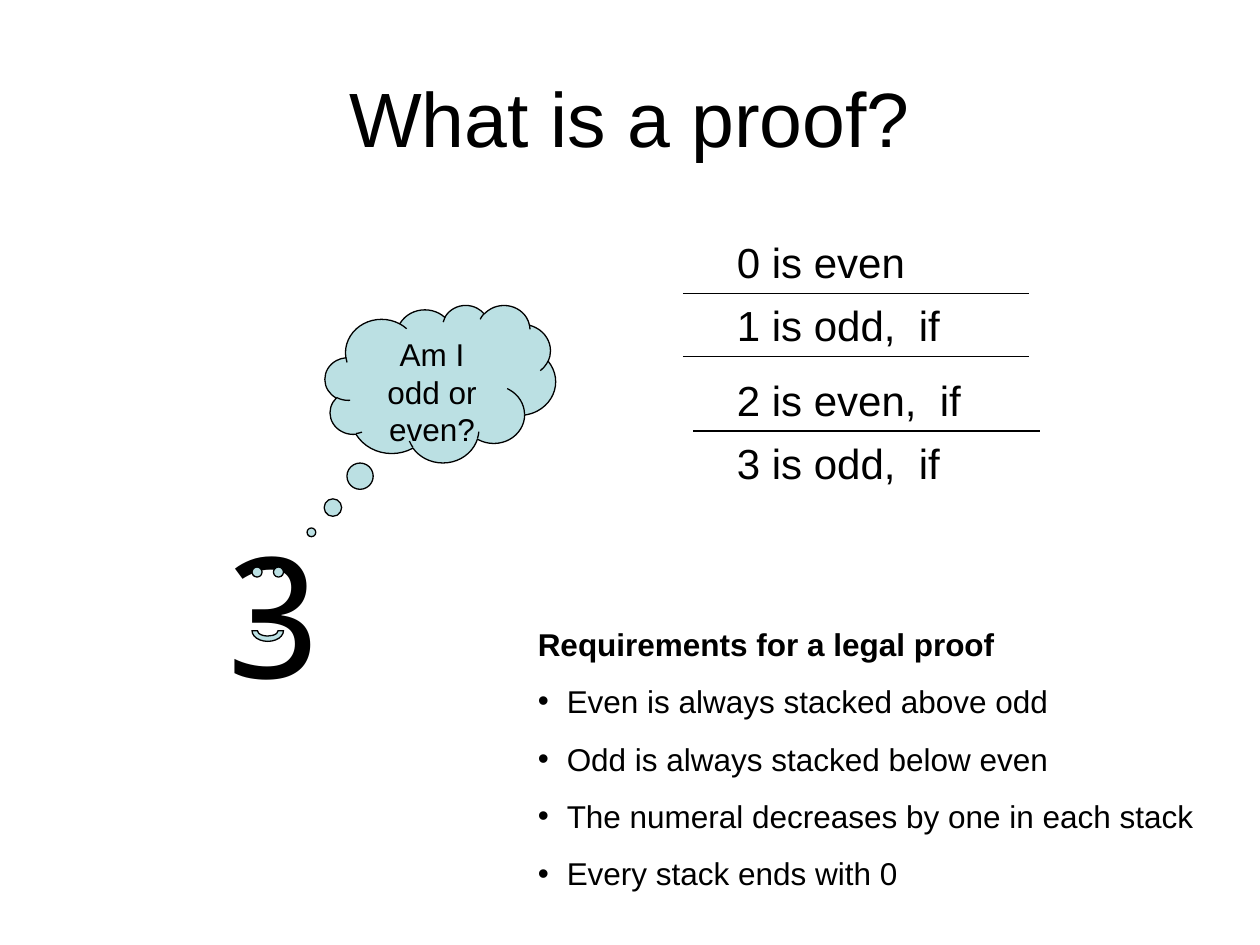
from dataclasses import dataclass
from typing import Any

from lxml.etree import SubElement
from pptx import Presentation
from pptx.dml.color import RGBColor
from pptx.enum.shapes import MSO_CONNECTOR as Link, MSO_SHAPE as Preset
from pptx.enum.text import MSO_ANCHOR as Anchor, MSO_AUTO_SIZE as Fit, PP_ALIGN as Align
from pptx.oxml.ns import qn
from pptx.util import Inches, Pt

BLACK = RGBColor(0x00, 0x00, 0x00)
PALE_TEAL = RGBColor(0xBB, 0xE0, 0xE3)
OUTLINE = Pt(0.75)
BULLET_INDENT = Inches(0.23)


@dataclass
class Figure:
    preset: Preset
    left: float
    top: float
    width: float
    height: float
    adjustments: tuple[float, ...] = ()
    rotation: float = 0


@dataclass
class Step:
    claim: str
    top: float


@dataclass
class Rule:
    left: float
    top: float


CLOUD = Figure(Preset.CLOUD_CALLOUT, 2.58, 2.42, 1.83, 1.25, (-0.559, 0.944))
FACE = [
    Figure(Preset.OVAL, 2, 4.5, 0.08, 0.08),
    Figure(Preset.OVAL, 2.17, 4.5, 0.08, 0.08),
    Figure(Preset.BLOCK_ARC, 2, 4.92, 0.25, 0.17, (108, 0, 0.25), 180),
]
STEPS = [
    Step("0 is even", 1.83),
    Step("1 is odd,  if", 2.33),
    Step("2 is even,  if", 2.92),
    Step("3 is odd,  if", 3.42),
]
RULES = [Rule(5.42, 2.33), Rule(5.42, 2.83), Rule(5.5, 3.42)]
REQUIREMENTS = [
    "Even is always stacked above odd",
    "Odd is always stacked below even",
    "The numeral decreases by one in each stack",
    "Every stack ends with 0",
]


def write(paragraph: Any, text: str, *, size: float, font: str = "Arial", bold: bool = False,
          align: Align = Align.LEFT, before: float = 0, bullet: bool = False) -> None:
    if bullet:
        properties = paragraph._p.get_or_add_pPr()
        properties.set("marL", str(BULLET_INDENT))
        properties.set("indent", str(-BULLET_INDENT))
        SubElement(properties, qn("a:buFont")).set("typeface", "Arial")
        SubElement(properties, qn("a:buChar")).set("char", "•")
    paragraph.alignment = align
    paragraph.space_before = Pt(before)
    run = paragraph.add_run()
    run.text = text
    run.font.name = font
    run.font.size = Pt(size)
    run.font.bold = bold
    run.font.color.rgb = BLACK


def add_frame(shapes: Any, left: float, top: float, width: float, height: float,
              anchor: Anchor = Anchor.TOP, fit: Fit = Fit.SHAPE_TO_FIT_TEXT) -> Any:
    frame = shapes.add_textbox(Inches(left), Inches(top), Inches(width), Inches(height)).text_frame
    frame.word_wrap = True
    frame.auto_size = fit
    frame.vertical_anchor = anchor
    return frame


def draw_figure(shapes: Any, figure: Figure) -> Any:
    shape = shapes.add_shape(figure.preset, Inches(figure.left), Inches(figure.top),
                             Inches(figure.width), Inches(figure.height))
    for index, value in enumerate(figure.adjustments):
        shape.adjustments[index] = value
    shape.rotation = figure.rotation
    shape.shadow.inherit = False
    shape.fill.solid()
    shape.fill.fore_color.rgb = PALE_TEAL
    shape.line.color.rgb = BLACK
    shape.line.width = OUTLINE
    return shape


def draw_rule(shapes: Any, rule: Rule) -> None:
    line = shapes.add_connector(Link.STRAIGHT, Inches(rule.left), Inches(rule.top),
                                Inches(rule.left + 2.75), Inches(rule.top))
    line.line.color.rgb = BLACK
    line.line.width = OUTLINE
    SubElement(line._element.spPr, qn("a:effectLst"))


def main() -> None:
    """Build the slide that asks what a proof is."""
    deck = Presentation()
    deck.slide_width, deck.slide_height = Inches(10), Inches(7.5)
    shapes = deck.slides.add_slide(deck.slide_layouts[6]).shapes

    title = add_frame(shapes, 0.5, 0.3, 9, 1.25, Anchor.MIDDLE, Fit.NONE)
    write(title.paragraphs[0], "What is a proof?", size=44, align=Align.CENTER)

    numeral = add_frame(shapes, 1.67, 4, 1.08, 1.7)
    write(numeral.paragraphs[0], "3", size=96, font="Noto Sans Mono")

    thought = draw_figure(shapes, CLOUD).text_frame
    thought.word_wrap = True
    thought.vertical_anchor = Anchor.TOP
    write(thought.paragraphs[0], "Am I odd or even?", size=18, align=Align.CENTER)
    for feature in FACE:
        draw_figure(shapes, feature)

    stack = shapes.add_group_shape().shapes
    for step in STEPS:
        claim = add_frame(stack, 5.75, step.top, 2.92, 0.5)
        write(claim.paragraphs[0], step.claim, size=24)
    for rule in RULES:
        draw_rule(stack, rule)

    legal = add_frame(shapes, 4.17, 4.91, 5.5, 2.23)
    write(legal.paragraphs[0], "Requirements for a legal proof", size=18, bold=True)
    for requirement in REQUIREMENTS:
        write(legal.add_paragraph(), requirement, size=18, before=11.2, bullet=True)

    deck.save("out.pptx")


if __name__ == "__main__":
    main()
